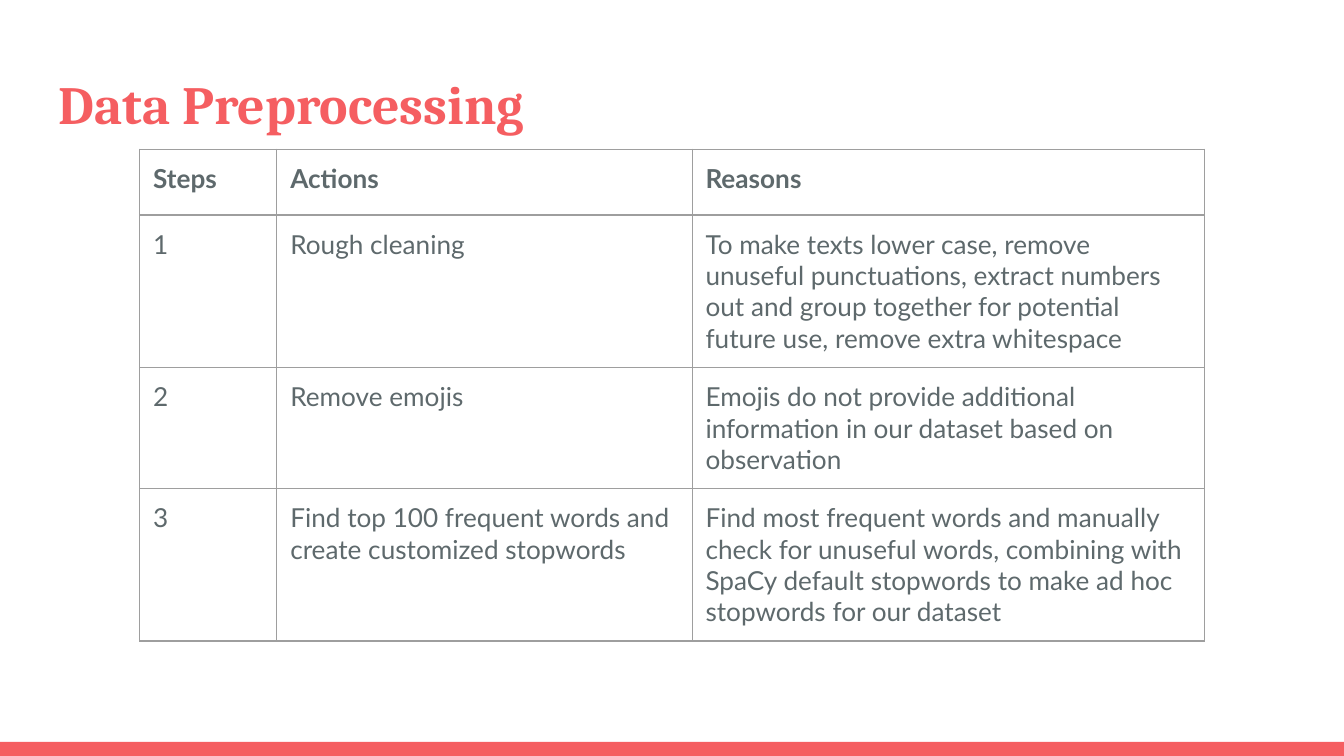
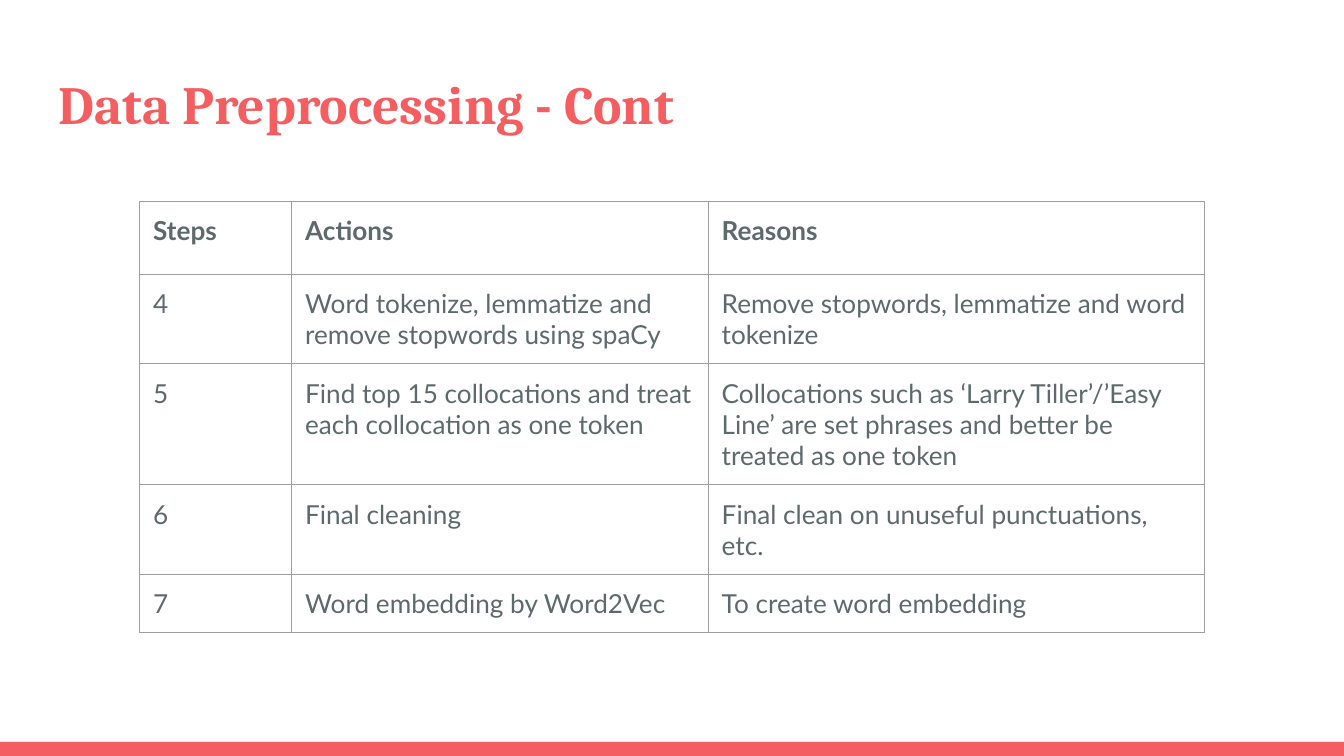
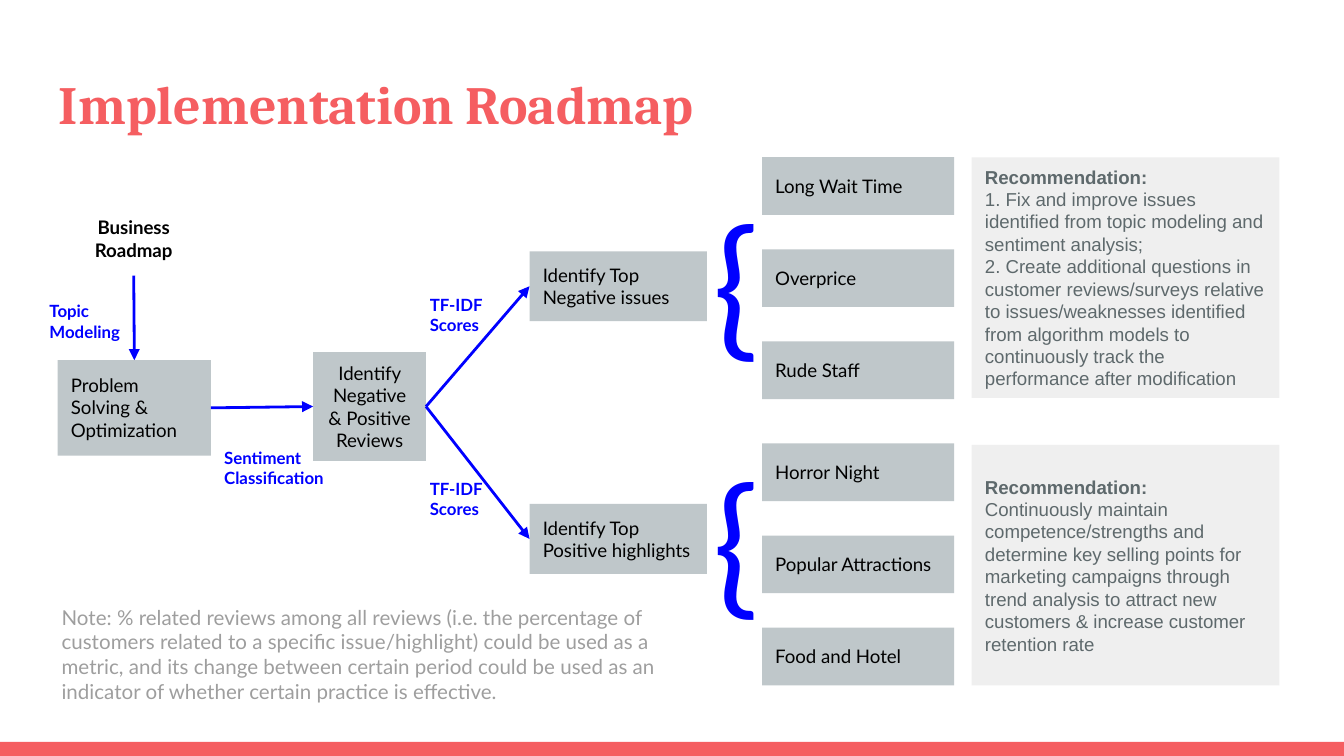
import pptx
import pptx.dml.color
import pptx.enum.shapes
import pptx.enum.text
import pptx.oxml
import pptx.oxml.ns
import pptx.util
from pptx.util import Inches

COLORS = {
    "coral": "F55E61",
    "slate": "5E696C",
    "rule": "9E9E9E",
    "node": "BFC7CA",
    "panel": "EFEFEF",
    "arrow": "0000FF",
    "black": "000000",
    "white": "FFFFFF",
}
PAGE_WIDTH = 10
PAGE_HEIGHT = PAGE_WIDTH * 9 / 16
BODY_FONT = "Lato"
INSET = Inches(0.1)
TOP = pptx.enum.text.MSO_ANCHOR.TOP
MIDDLE = pptx.enum.text.MSO_ANCHOR.MIDDLE
LEFT = pptx.enum.text.PP_ALIGN.LEFT
CENTER = pptx.enum.text.PP_ALIGN.CENTER
RECTANGLE = pptx.enum.shapes.MSO_SHAPE.RECTANGLE
# Connection sites of a rectangle
SITE_TOP, SITE_LEFT, SITE_BOTTOM, SITE_RIGHT = range(4)


def rgb(name):
    return pptx.dml.color.RGBColor.from_string(COLORS[name])


def add_span(para, text, size, color, bold=False, font=BODY_FONT):
    span = para.add_run()
    span.text = text
    span.font.size = pptx.util.Pt(size)
    span.font.name = font
    span.font.bold = bold
    span.font.color.rgb = rgb(color)


def set_frame(shape, anchor):
    frame = shape.text_frame
    frame.word_wrap = True
    frame.vertical_anchor = anchor
    frame.margin_left = frame.margin_right = INSET
    frame.margin_top = frame.margin_bottom = INSET
    return frame


def add_label(page, box, text, size, color, bold=False, font=BODY_FONT, anchor=TOP):
    label = page.shapes.add_textbox(*map(Inches, box))
    para = set_frame(label, anchor).paragraphs[0]
    add_span(para, text, size, color, bold, font)


def add_block(page, box, fill, anchor=MIDDLE):
    block = page.shapes.add_shape(RECTANGLE, *map(Inches, box))
    block.shadow.inherit = False
    block.fill.solid()
    block.fill.fore_color.rgb = rgb(fill)
    block.line.fill.background()
    set_frame(block, anchor)
    return block


def add_node(page, box, text, fill="node", bold=False, align=LEFT, anchor=MIDDLE):
    node = add_block(page, box, fill, anchor)
    para = node.text_frame.paragraphs[0]
    para.alignment = align
    add_span(para, text, 10, "black", bold)
    return node


def add_arrow(page, start, start_site, end, end_site):
    arrow = page.shapes.add_connector(
        pptx.enum.shapes.MSO_CONNECTOR.STRAIGHT, 0, 0, 0, 0)
    arrow.begin_connect(start, start_site)
    arrow.end_connect(end, end_site)
    arrow.line.color.rgb = rgb("arrow")
    arrow.line.width = pptx.util.Pt(1.5)
    head = pptx.oxml.parse_xml(
        f'<a:tailEnd {pptx.oxml.ns.nsdecls("a")} type="triangle"/>')
    arrow.line._get_or_add_ln().append(head)
    arrow._element.spPr.append(pptx.oxml.parse_xml(
        f'<a:effectLst {pptx.oxml.ns.nsdecls("a")}/>'))


def add_page(deck, title):
    """Blank page with the shared bottom band and title."""
    page = deck.slides.add_slide(deck.slide_layouts[6])
    add_block(page, (0, 5.52, PAGE_WIDTH, 0.11), "coral")
    add_label(page, (0.34, 0.43, 9.32, 0.68), title, 28.8, "coral", True,
              "Cambria", MIDDLE)
    return page


# Step tables
def set_borders(cell):
    properties = cell._tc.get_or_add_tcPr()
    for position, side in enumerate(("lnL", "lnR", "lnT", "lnB")):
        properties.insert(position, pptx.oxml.parse_xml(
            f'<a:{side} {pptx.oxml.ns.nsdecls("a")} w="{pptx.util.Pt(0.75)}">'
            f'<a:solidFill><a:srgbClr val="{COLORS["rule"]}"/></a:solidFill>'
            f'</a:{side}>'))


def add_step_table(page, left, top, widths, heights, steps):
    rows = [("Steps", "Actions", "Reasons")] + steps
    table = page.shapes.add_table(
        len(rows), len(widths), Inches(left), Inches(top),
        Inches(sum(widths)), Inches(sum(heights))).table
    table.first_row = table.horz_banding = False
    for column, width in zip(table.columns, widths):
        column.width = Inches(width)
    for row, height in zip(table.rows, heights):
        row.height = Inches(height)
    for row_index, row in enumerate(rows):
        for column_index, text in enumerate(row):
            cell = table.cell(row_index, column_index)
            cell.fill.background()
            cell.margin_left = cell.margin_right = INSET
            cell.margin_top = cell.margin_bottom = INSET
            add_span(cell.text_frame.paragraphs[0], text, 14, "slate",
                     bold=row_index == 0)
            set_borders(cell)


# Roadmap regions
def add_arrow_label(page, left, top, text, width=0.84):
    add_label(page, (left, top, width, 0.5), text, 9, "arrow", True)


def add_review_flow(page, left, top):
    """Start of the roadmap; returns the node from which it branches."""
    start = add_node(page, (left + 0.19, top, 1.07, 0.54), "Business Roadmap",
                     "white", True, CENTER, TOP)
    problem = add_node(page, (left + 0.16, top + 1.17, 1.14, 0.71),
                       "Problem Solving & Optimization", anchor=TOP)
    reviews = add_node(page, (left + 2.06, top + 1.11, 0.84, 0.81),
                       "Identify Negative & Positive Reviews", align=CENTER)
    add_arrow(page, start, SITE_BOTTOM, problem, SITE_TOP)
    add_arrow(page, problem, SITE_RIGHT, reviews, SITE_LEFT)
    add_arrow_label(page, left, top + 0.63, "Topic Modeling")
    add_arrow_label(page, left + 1.3, top + 1.72, "Sentiment Classification", 1.14)
    return reviews


def add_recommendation(page, box, lines):
    panel = add_block(page, box, "panel")
    frame = panel.text_frame
    for index, line in enumerate(["Recommendation:"] + lines):
        para = frame.add_paragraph() if index else frame.paragraphs[0]
        para.alignment = LEFT
        add_span(para, line, 10, "slate", index == 0, "Arial")


def add_branch(page, left, top, reviews, branch):
    """Finding, brace, its topics and the recommendation, left to right."""
    finding = add_node(page, (left + 0.84, top + branch["finding_drop"], 1.32, 0.52),
                       branch["finding"])
    add_arrow(page, reviews, SITE_RIGHT, finding, SITE_LEFT)
    add_arrow_label(page, left, top + branch["label_drop"], "TF-IDF Scores")
    add_label(page, (left + 2.1, top + branch["brace_drop"], 0.65, 1.65),
              "{", 86, "arrow", font="Calibri")
    for index, topic in enumerate(branch["topics"]):
        add_node(page, (left + 2.57, top + index * 0.685, 1.43, 0.43), topic)
    add_recommendation(page, (left + 4.13, top + branch["advice_drop"], 2.29, 1.79),
                       branch["advice"])


FIRST_STEPS = [
    ("1", "Rough cleaning",
     "To make texts lower case, remove unuseful punctuations, extract numbers "
     "out and group together for potential future use, remove extra whitespace"),
    ("2", "Remove emojis",
     "Emojis do not provide additional information in our dataset based on "
     "observation"),
    ("3", "Find top 100 frequent words and create customized stopwords",
     "Find most frequent words and manually check for unuseful words, combining "
     "with SpaCy default stopwords to make ad hoc stopwords for our dataset"),
]
LATER_STEPS = [
    ("4", "Word tokenize, lemmatize and remove stopwords using spaCy",
     "Remove stopwords, lemmatize and word tokenize"),
    ("5", "Find top 15 collocations and treat each collocation as one token",
     "Collocations such as ‘Larry Tiller’/’Easy Line’ are set phrases and "
     "better be treated as one token"),
    ("6", "Final cleaning", "Final clean on unuseful punctuations, etc."),
    ("7", "Word embedding by Word2Vec", "To create word embedding"),
]
NEGATIVE = {
    "finding": "Identify Top Negative issues",
    "finding_drop": 0.7, "label_drop": 0.92, "brace_drop": 0.07, "advice_drop": 0,
    "topics": ["Long Wait Time", "Overprice", "Rude Staff"],
    "advice": [
        "1. Fix and improve issues identified from topic modeling and sentiment "
        "analysis;",
        "2. Create additional questions in customer reviews/surveys relative to "
        "issues/weaknesses identified from algorithm models to continuously "
        "track the performance after modification"],
}
POSITIVE = {
    "finding": "Identify Top Positive highlights",
    "finding_drop": 0.45, "label_drop": 0.16, "brace_drop": -0.14,
    "advice_drop": 0.01,
    "topics": ["Horror Night", "Popular Attractions", "Food and Hotel"],
    "advice": [
        "Continuously maintain competence/strengths and determine key selling "
        "points for marketing campaigns through trend analysis to attract new "
        "customers & increase customer retention rate"],
}
NOTE = ("Note: % related reviews among all reviews (i.e. the percentage of "
        "customers related to a specific issue/highlight) could be used as a "
        "metric, and its change between certain period could be used as an "
        "indicator of whether certain practice is effective.")


def main():
    deck = pptx.Presentation()
    deck.slide_width = Inches(PAGE_WIDTH)
    deck.slide_height = Inches(PAGE_HEIGHT)

    page = add_page(deck, "Data Preprocessing")
    add_step_table(page, 1.04, 1.11, [1.02, 3.09, 3.81], [0.49] * 4, FIRST_STEPS)

    page = add_page(deck, "Data Preprocessing - Cont")
    add_step_table(page, 1.04, 1.5, [1.13, 3.1, 3.69], [0.54] + [0.42] * 4,
                   LATER_STEPS)

    page = add_page(deck, "Implementation Roadmap")
    reviews = add_review_flow(page, 0.27, 1.51)
    add_branch(page, 3.1, 1.17, reviews, NEGATIVE)
    add_branch(page, 3.1, 3.3, reviews, POSITIVE)
    add_label(page, (0.36, 4.4, 4.9, 0.94), NOTE, 11, "rule")

    deck.save("out.pptx")


if __name__ == "__main__":
    main()
